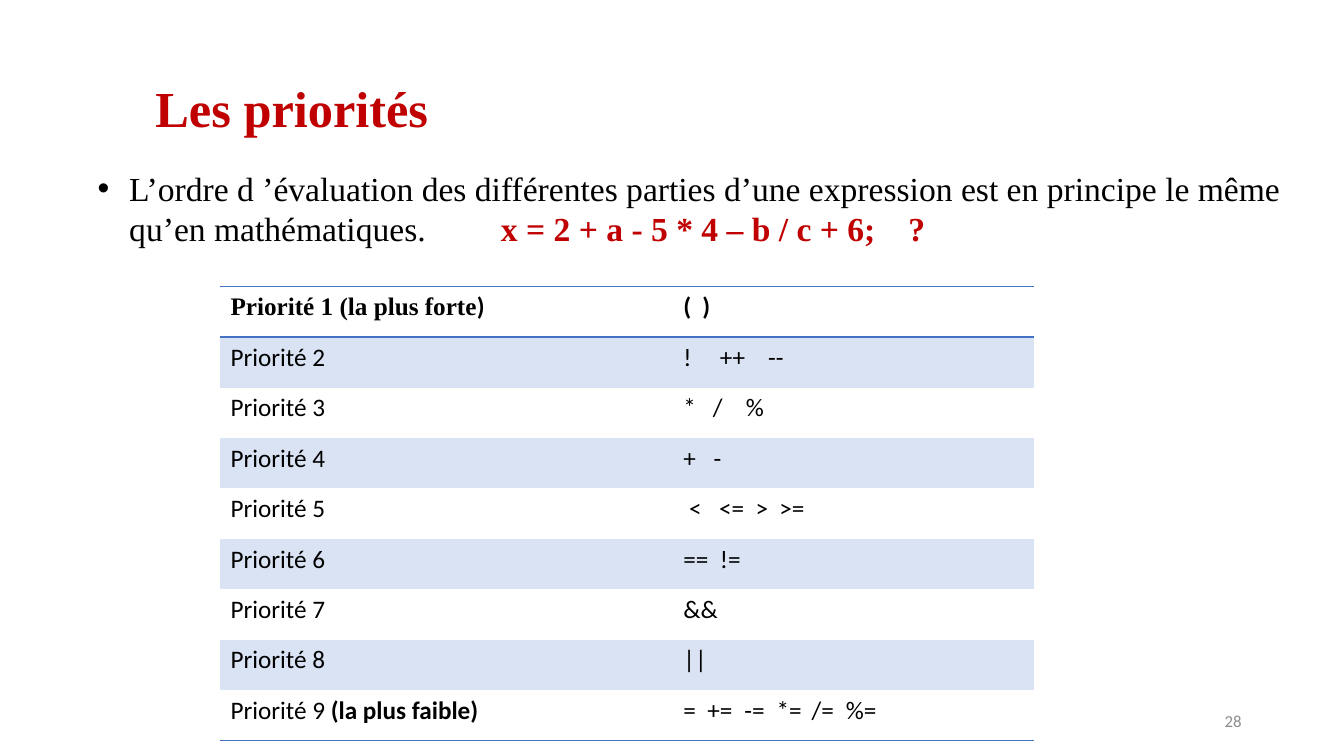
from lxml.etree import SubElement
from pptx import Presentation
from pptx.dml.color import RGBColor
from pptx.enum.text import MSO_ANCHOR, MSO_AUTO_SIZE, PP_ALIGN
from pptx.oxml.ns import qn
from pptx.util import Pt

# Content
TITLE = "Les priorités"
RULE = "L’ordre d ’évaluation des différentes parties d’une expression est en principe le même qu’en mathématiques. \t"
FORMULA = "x = 2 + a - 5 * 4 – b / c + 6;\t?"
PAGE_NUMBER = "28"
# Each row: label, ending in another style, operators with their offset in points
PRIORITIES = [
    ("Priorité 1 (la plus forte", ")", [("(", 0), (")", 13.5)]),
    ("Priorité 2", "", [("!", 0), ("++", 26), ("--", 60.5)]),
    ("Priorité 3", "", [("*", 0), ("/", 21), ("%", 44.5)]),
    ("Priorité 4", "", [("+", 0), ("-", 21.5)]),
    ("Priorité 5", "", [("<", 4), ("<=", 25.5), (">", 51.5), (">=", 68.5)]),
    ("Priorité 6", "", [("==", 0), ("!=", 26)]),
    ("Priorité 7", "", [("&&", 0)]),
    ("Priorité 8", "", [("||", 0)]),
    ("Priorité 9 ", "(la plus faible)",
     [("=", 0), ("+=", 17), ("-=", 43.5), ("*=", 66.5), ("/=", 91.5), ("%=", 116)]),
]

# Style
COLORS = {"red": "C00000", "text": "000000", "number": "8C8C8C",
          "line": "4472C4", "band": "DAE3F3"}
SERIF, SANS = "Times New Roman", "Calibri"
COLUMN_WIDTHS = (323.5, 257.3)
ROW_HEIGHT = 36.08
NO_STYLE = "{2D5ABB26-0587-4C30-8999-92F81FD0307C}"


def set_font(font, name, size, color, bold=False):
    font.name, font.size, font.bold = name, Pt(size), bold
    font.color.rgb = RGBColor.from_string(COLORS[color])


def place(shape, left, top, width, height):
    shape.left, shape.top, shape.width, shape.height = map(Pt, (left, top, width, height))


def add_tabs(paragraph, stops):
    tab_list = SubElement(paragraph._p.get_or_add_pPr(), qn("a:tabLst"))
    for stop in stops:
        SubElement(tab_list, qn("a:tab"), pos=str(Pt(stop)), algn="l")


def add_border(cell, side):
    line = SubElement(cell._tc.get_or_add_tcPr(), qn("a:" + side), w=str(Pt(1)))
    fill = SubElement(line, qn("a:solidFill"))
    SubElement(fill, qn("a:srgbClr"), val=COLORS["line"])


presentation = Presentation()
presentation.slide_width, presentation.slide_height = Pt(960), Pt(540)
slide = presentation.slides.add_slide(presentation.slide_layouts[1])

# Title
title = slide.shapes.title
place(title, 84, 27.4, 828, 104.4)
frame = title.text_frame
frame.text = TITLE
frame.margin_left = Pt(27)
frame.vertical_anchor = MSO_ANCHOR.MIDDLE
frame.auto_size = MSO_AUTO_SIZE.NONE
paragraph = frame.paragraphs[0]
paragraph.alignment = PP_ALIGN.LEFT
paragraph.line_spacing = 0.9
set_font(paragraph.font, SERIF, 36, "red", True)

# Rule with its example formula
body = slide.placeholders[1]
place(body, 62.6, 116, 871.2, 65.5)
frame = body.text_frame
frame.auto_size = MSO_AUTO_SIZE.NONE
paragraph = frame.paragraphs[0]
paragraph.space_before = Pt(0)
properties = paragraph._p.get_or_add_pPr()
properties.set("marL", str(Pt(22.5)))
properties.set("indent", str(Pt(-22.5)))
SubElement(properties, qn("a:buFont"), typeface="Arial")
SubElement(properties, qn("a:buChar"), char="•")
add_tabs(paragraph, (288, 579))
for text, color, bold in ((RULE, "text", False), (FORMULA, "red", True)):
    run = paragraph.add_run()
    run.text = text
    set_font(run.font, SERIF, 24, color, bold)

# Priority table
graphic_frame = slide.shapes.add_table(
    len(PRIORITIES), 2, Pt(157.5), Pt(204.7),
    Pt(sum(COLUMN_WIDTHS)), Pt(ROW_HEIGHT * len(PRIORITIES)))
table = graphic_frame.table
table.first_row = table.horz_banding = False
table._tbl.tblPr.find(qn("a:tableStyleId")).text = NO_STYLE
for column, width in zip(table.columns, COLUMN_WIDTHS):
    column.width = Pt(width)
last = len(PRIORITIES) - 1
for index, (label, ending, operators) in enumerate(PRIORITIES):
    table.rows[index].height = Pt(ROW_HEIGHT)
    header = index == 0
    label_cell, operator_cell = table.rows[index].cells

    for cell in (label_cell, operator_cell):
        if header:
            add_border(cell, "lnT")
        if index in (0, last):
            add_border(cell, "lnB")
        if index % 2:
            cell.fill.solid()
            cell.fill.fore_color.rgb = RGBColor.from_string(COLORS["band"])
        else:
            cell.fill.background()

    paragraph = label_cell.text_frame.paragraphs[0]
    run = paragraph.add_run()
    run.text = label
    set_font(run.font, SERIF if header else SANS, 18, "text", header)
    if ending:
        run = paragraph.add_run()
        run.text = ending
        set_font(run.font, SANS, 18, "text", True)

    paragraph = operator_cell.text_frame.paragraphs[0]
    stops = [offset for _, offset in operators if offset]
    if stops:
        add_tabs(paragraph, stops)
    run = paragraph.add_run()
    run.text = "".join(("\t" if offset else "") + sign for sign, offset in operators)
    set_font(paragraph.font, SANS, 18, "text", header)

# Page number
number = slide.shapes.add_textbox(Pt(678), Pt(500.5), Pt(216), Pt(28.8))
frame = number.text_frame
frame.word_wrap = True
frame.vertical_anchor = MSO_ANCHOR.MIDDLE
frame.text = PAGE_NUMBER
paragraph = frame.paragraphs[0]
paragraph.alignment = PP_ALIGN.RIGHT
set_font(paragraph.font, SANS, 12, "number")

presentation.save("out.pptx")
